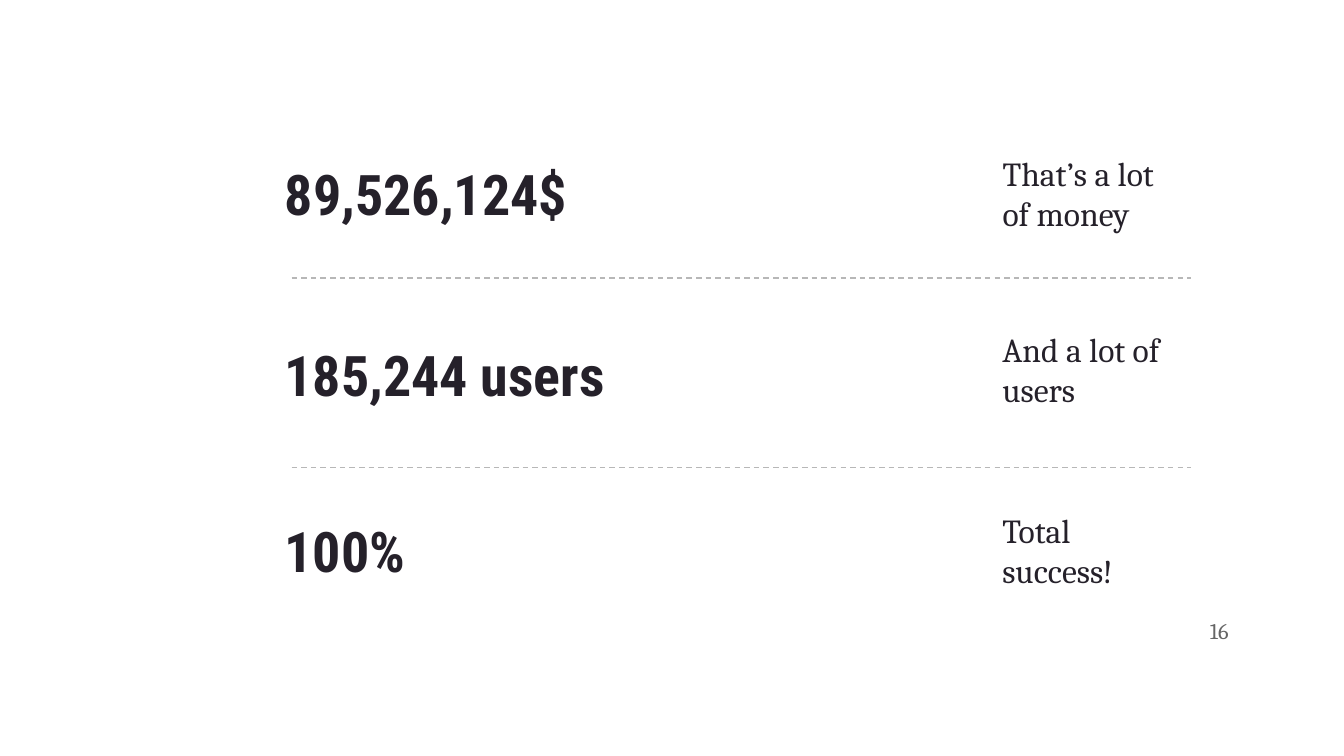
from dataclasses import dataclass

from lxml import etree
from pptx import Presentation
from pptx.dml.color import RGBColor
from pptx.enum import dml, shapes, text
from pptx.oxml.ns import qn
from pptx.util import Inches, Pt


@dataclass(frozen=True)
class Theme:
    ink: str = "25212A"
    muted: str = "666666"
    rule: str = "B7B7B7"
    heading_font: str = "Roboto Condensed"
    body_font: str = "Cambria"
    figure_size: int = 30
    caption_size: int = 18
    number_size: int = 12


THEME = Theme()

# Figure, caption, figure top, caption top
FIGURES = [
    ("89,526,124$", "That’s a lot of money", 0.97, 1.18),
    ("185,244 users", "And a lot of users", 2.32, 2.49),
    ("100%", "Total success!", 3.63, 3.84),
]
DIVIDERS = [2.07, 3.48]


def set_text(sp, content, *, size, font, color=THEME.ink, bold=False,
             align=text.PP_ALIGN.LEFT, before=0):
    tf = sp.text_frame
    tf.word_wrap = True
    tf.auto_size = text.MSO_AUTO_SIZE.NONE
    tf.vertical_anchor = text.MSO_ANCHOR.MIDDLE
    tf.margin_left = tf.margin_right = Inches(0.1)
    tf.margin_top = tf.margin_bottom = Inches(0.1)
    p = tf.paragraphs[0]
    p.alignment = align
    p.space_before = Pt(before)
    r = p.add_run()
    r.text = content
    r.font.size = Pt(size)
    r.font.name = font
    r.font.bold = bold
    r.font.color.rgb = RGBColor.from_string(color)


def place(s, box, placeholder=None):
    """Move the placeholder into the box, or add a text box there."""
    left, top, width, height = map(Inches, box)
    if placeholder is None:
        return s.shapes.add_textbox(left, top, width, height)
    placeholder.left, placeholder.top = left, top
    placeholder.width, placeholder.height = width, height
    return placeholder


def add_figure(s, figure, caption, top, caption_top, title=None, subtitle=None):
    sp = place(s, (2.02, top, 6.56, 0.93), title)
    set_text(sp, figure, size=THEME.figure_size, font=THEME.heading_font, bold=True)
    sp = place(s, (7.36, caption_top, 1.46, 0.51), subtitle)
    set_text(sp, caption, size=THEME.caption_size, font=THEME.body_font, before=6)


def add_divider(s, y):
    line = s.shapes.add_connector(shapes.MSO_CONNECTOR.STRAIGHT,
                                  Inches(2.17), Inches(y), Inches(8.86), Inches(y))
    line.line.color.rgb = RGBColor.from_string(THEME.rule)
    line.line.width = Pt(0.75)
    line.line.dash_style = dml.MSO_LINE.DASH
    etree.SubElement(line._element.spPr, qn("a:effectLst"))


def main():
    # Widescreen page, 16:9
    prs = Presentation()
    prs.slide_width = Inches(10)
    prs.slide_height = Inches(10 * 9 / 16)
    s = prs.slides.add_slide(prs.slide_layouts[0])

    # Key figures: the first pair uses the title and subtitle placeholders
    holders = [(s.shapes.title, s.placeholders[1])]
    for i, row in enumerate(FIGURES):
        add_figure(s, *row, *(holders[i] if i < len(holders) else ()))

    # Slide number
    set_text(place(s, (8.64, 4.48, 0.6, 0.43)), "16", size=THEME.number_size,
             font=THEME.body_font, color=THEME.muted, align=text.PP_ALIGN.RIGHT)

    # Dividers between the rows
    for y in DIVIDERS:
        add_divider(s, y)

    prs.save("out.pptx")


if __name__ == "__main__":
    main()
